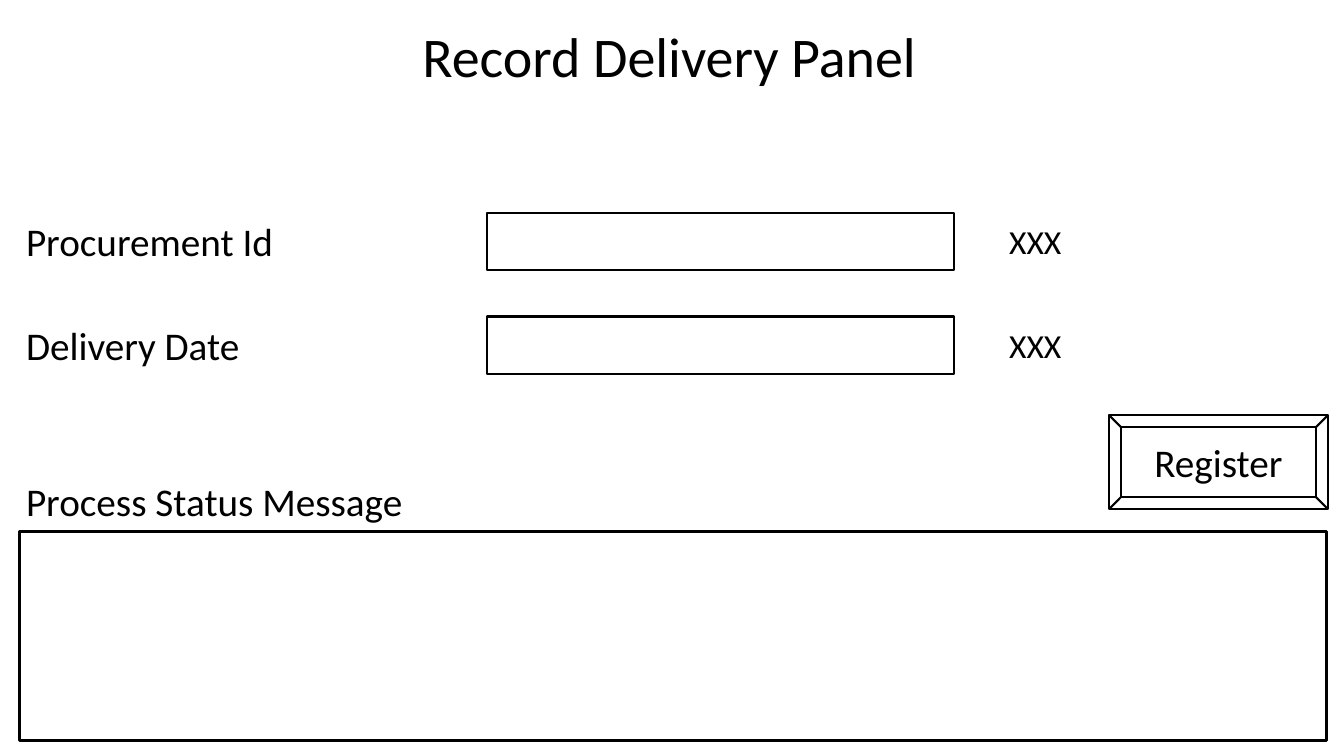
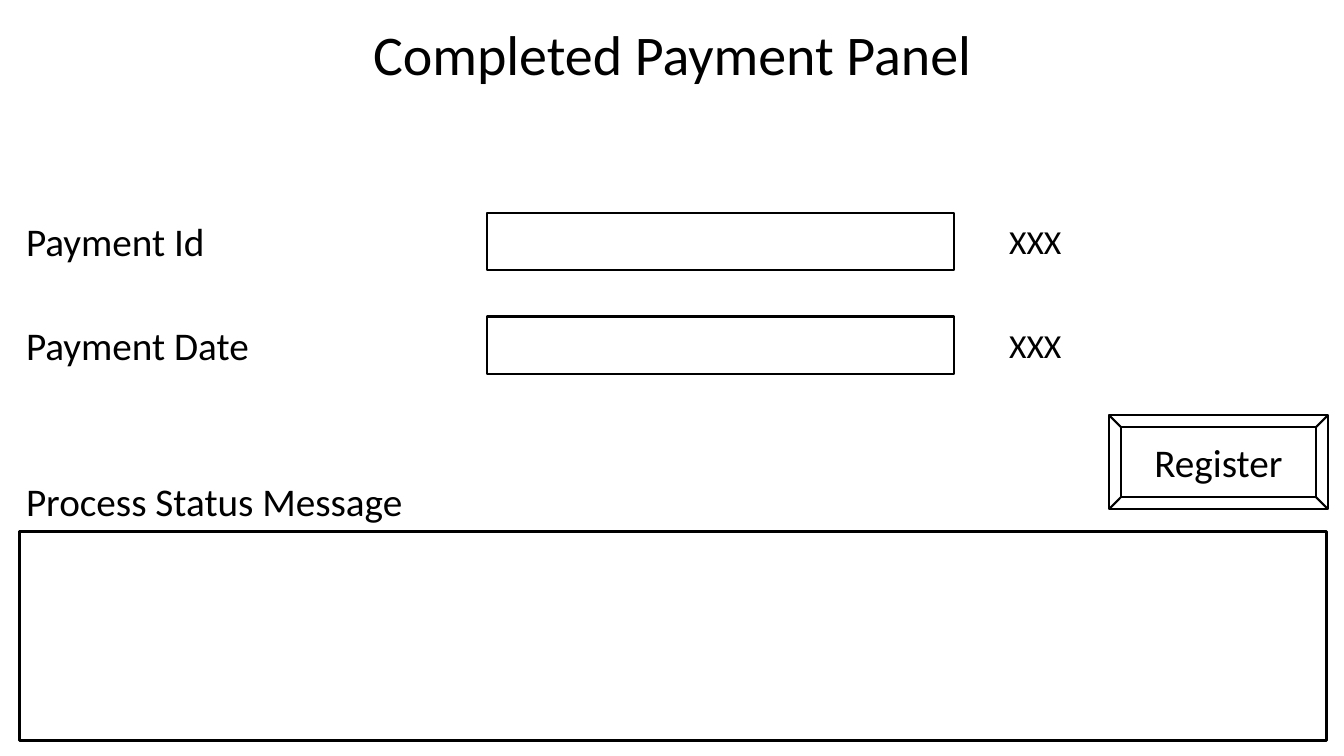
import pptx
import pptx.util
from dataclasses import dataclass
from pptx.dml.color import RGBColor
from pptx.enum.shapes import MSO_SHAPE
from pptx.enum.text import MSO_ANCHOR, MSO_AUTO_SIZE, PP_ALIGN

Inches, Pt = pptx.util.Inches, pptx.util.Pt

# Content: title, title box (left, top, width), field labels
PANELS = [
    ("Record Delivery Panel", (4.09, 0.16, 5.17), ["Procurement Id", "Delivery Date"]),
    ("Completed Payment Panel", (3.6, 0.14, 6.15), ["Payment Id", "Payment Date"]),
]
HINT = "XXX"
STATUS_LABEL = "Process Status Message"
BUTTON = "Register"


@dataclass(frozen=True)
class Theme:
    font: str = "Calibri"
    ink: RGBColor = RGBColor(0, 0, 0)
    title: float = 40
    label: float = 28
    hint: float = 24
    thin: float = 1.5
    thick: float = 2.25


THEME = Theme()

# Form grid, in inches
LABEL_X, LABEL_W = 0.16, 3.98
FIELD_X, FIELD_W = 4.83, 4.63
HINT_X, HINT_W, HINT_H = 9.91, 0.73, 0.5
ROW_TOP, ROW_STEP, ROW_H = 2.11, 1.03, 0.57
STATUS_LABEL_TOP = 4.69


def place(sp, left, top, width, height):
    sp.left, sp.top = Inches(left), Inches(top)
    sp.width, sp.height = Inches(width), Inches(height)


def write(sp, text, size, align=PP_ALIGN.LEFT, anchor=MSO_ANCHOR.TOP):
    tf = sp.text_frame
    tf.word_wrap = True
    tf.auto_size = MSO_AUTO_SIZE.NONE
    tf.vertical_anchor = anchor
    p = tf.paragraphs[0]
    p.alignment = align
    r = p.add_run()
    r.text = text
    r.font.name, r.font.size = THEME.font, Pt(size)
    r.font.color.rgb = THEME.ink


def add_text(s, box, text, size):
    sp = s.shapes.add_textbox(*map(Inches, box))
    write(sp, text, size)


def add_outline(s, kind, box, weight):
    sp = s.shapes.add_shape(kind, *map(Inches, box))
    sp.shadow.inherit = False
    sp.fill.background()
    sp.line.color.rgb = THEME.ink
    sp.line.width = Pt(weight)
    return sp


def add_panel(prs, title, title_box, labels):
    s = prs.slides.add_slide(prs.slide_layouts[5])
    place(s.shapes.title, *title_box, 0.77)
    write(s.shapes.title, title, THEME.title)

    # Input rows
    for i, label in enumerate(labels):
        top = ROW_TOP + i * ROW_STEP
        add_text(s, (LABEL_X, top, LABEL_W, ROW_H), label, THEME.label)
        add_outline(s, MSO_SHAPE.RECTANGLE, (FIELD_X, top, FIELD_W, ROW_H), THEME.thin)
        hint_top = top + (ROW_H - HINT_H) / 2
        add_text(s, (HINT_X, hint_top, HINT_W, HINT_H), HINT, THEME.hint)

    # Status area
    add_text(s, (LABEL_X, STATUS_LABEL_TOP, LABEL_W, ROW_H), STATUS_LABEL, THEME.label)
    add_outline(s, MSO_SHAPE.RECTANGLE, (0.19, 5.27, 12.97, 2.08), THEME.thick)

    # Button
    button = add_outline(s, MSO_SHAPE.BEVEL, (11, 4.12, 2.17, 0.93), THEME.thin)
    write(button, BUTTON, THEME.label, PP_ALIGN.CENTER, MSO_ANCHOR.MIDDLE)


def main():
    prs = pptx.Presentation()
    prs.slide_width, prs.slide_height = Inches(13.33), Inches(7.5)
    for panel in PANELS:
        add_panel(prs, *panel)
    prs.save("out.pptx")


if __name__ == "__main__":
    main()
